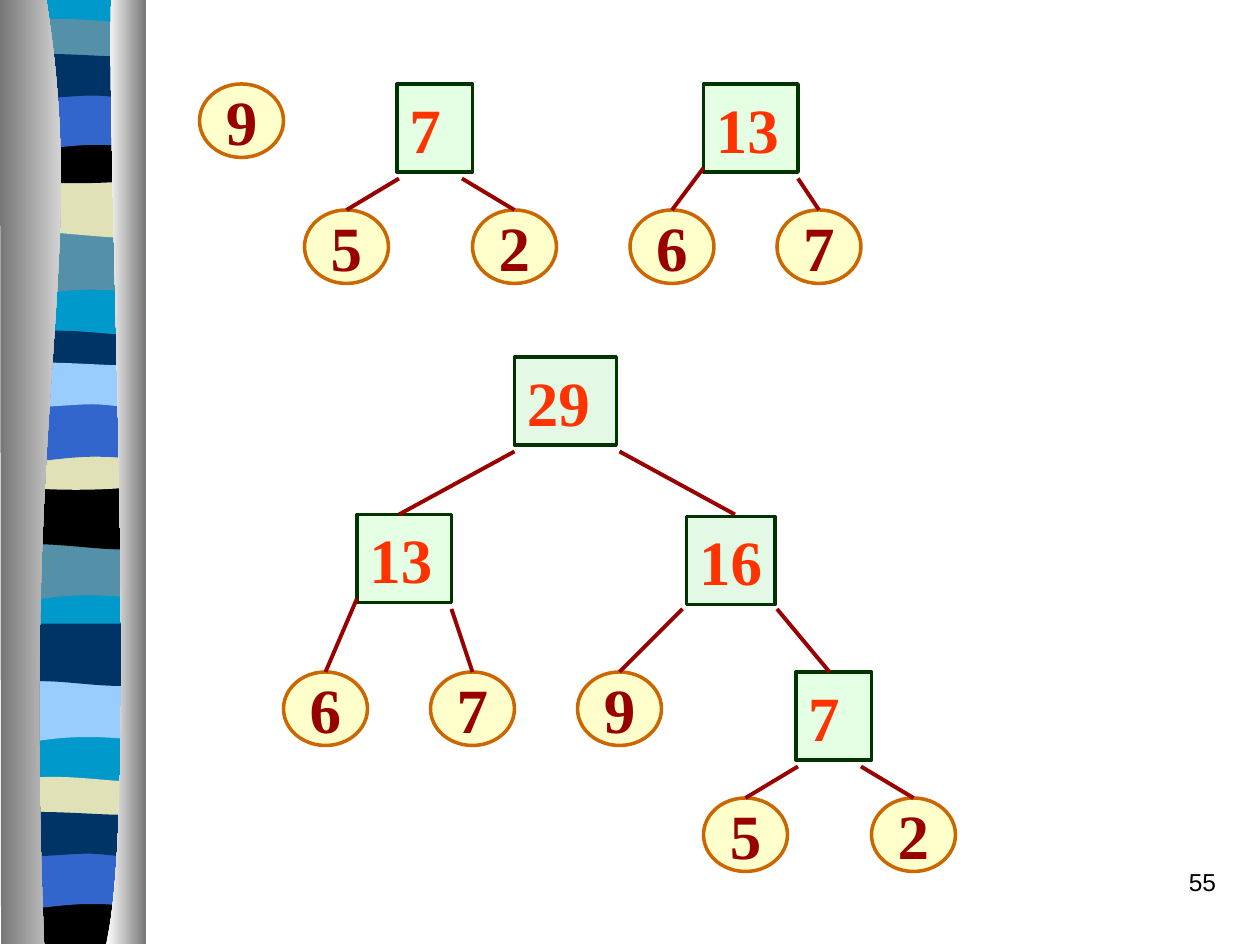
"""Build a slide of merging number trees beside a striped wavy border."""
from lxml.etree import SubElement
from pptx import Presentation
from pptx.dml.color import RGBColor as RGB
from pptx.enum.shapes import MSO_CONNECTOR as LINK, MSO_SHAPE as KIND
from pptx.enum.text import MSO_ANCHOR as ANCHOR, PP_ALIGN as ALIGN
from pptx.oxml.ns import qn
from pptx.util import Pt

PX = 7620
SKY, TEAL, SAND = RGB(0, 153, 204), RGB(84, 144, 168), RGB(225, 225, 183)
BLACK, BLUE, NAVY = RGB(0, 0, 0), RGB(51, 102, 204), RGB(0, 51, 102)
PALE, WHITE, GREY = RGB(153, 204, 255), RGB(255, 255, 255), RGB(118, 118, 118)
CREAM, AMBER, WINE = RGB(255, 255, 153), RGB(204, 102, 0), RGB(153, 0, 0)
MINT, SAGE = RGB(204, 255, 204), RGB(202, 242, 206)
PINE, RED = RGB(0, 51, 0), RGB(255, 51, 0)

deck = Presentation()
deck.slide_width, deck.slide_height = 1200 * PX, 900 * PX
slide = deck.slides.add_slide(deck.slide_layouts[6])
shapes = slide.shapes


def write(shape, text, size=36, font="Times New Roman", color=WINE, bold=True,
          align=ALIGN.CENTER, anchor=ANCHOR.MIDDLE, wrap=False):
    frame = shape.text_frame
    frame.word_wrap, frame.vertical_anchor = wrap, anchor
    para = frame.paragraphs[0]
    para.alignment = align
    run = para.add_run()
    run.text = text
    run.font.size, run.font.name, run.font.bold = Pt(size), font, bold
    run.font.color.rgb = color


def trace(steps, left=0, top=0):
    dots = [(x + left, y + top) for step in steps
            for x, y in zip(step[::2], step[1::2])]
    pen = shapes.build_freeform(*dots[0], scale=PX)
    pen.add_line_segments(dots[1:], close=True)
    shape = pen.convert_to_shape()
    outline = shape.element.find(".//" + qn("a:path"))
    lines = iter(outline.findall(qn("a:lnTo")))
    for step in steps[1:]:
        line = next(lines)
        if len(step) == 6:
            line.tag = qn("a:cubicBezTo")
            for spare in (next(lines), next(lines)):
                line.append(spare[0])
                outline.remove(spare)
    shape.shadow.inherit = False
    shape.line.fill.background()
    return shape


SAG = [(126, 0), (126, 56), (38, 46, 20, 65, 0, 56), (0, 0)]
WAVE = [(126, 0), (126, 56), (106, 66, 38, 49, 0, 56), (0, 0)]
THIN = [(126, 5), (126, 34), (106, 39, 20, 39, 0, 34), (0, 5),
        (8, 0, 28, 0, 48, 0), (70, 0, 110, 5, 126, 5)]
BULGE = [(126, 0), (126, 40), (104, 46, 20, 46, 0, 40), (0, 0),
         (77, 6, 100, 0, 126, 0)]
DIP = [(126, 0), (126, 56), (107, 50, 98, 50, 77, 50),
       (56, 50, 20, 56, 0, 56), (0, 0)]
LONG = [(126, 6), (126, 43), (118, 49, 98, 43, 77, 43),
        (56, 43, 12, 49, 0, 43), (0, 6), (18, 0, 85, 6, 107, 6),
        (128, 6, 122, 6, 126, 6)]
CAP = [(126, 0), (126, 44), (0, 44), (0, 0), (77, 6, 100, 0, 126, 0)]
BASE = [(126, 0), (126, 897), (0, 897), (0, 0)]

for form, color, left, top in [
    (BASE, SKY, 11, -1),
    (SAG, TEAL, 10, 223), (WAVE, SAND, 12, 167), (THIN, TEAL, 12, 18),
    (BULGE, BLACK, 10, 130), (DIP, BLUE, 11, 88), (LONG, NAVY, 11, 48),
    (SAG, TEAL, 7, 514), (WAVE, BLACK, 10, 464), (THIN, NAVY, 10, 315),
    (BULGE, SAND, 10, 422), (DIP, BLUE, 10, 385), (LONG, PALE, 10, 342),
    (SAG, PALE, 6, 649), (WAVE, NAVY, 8, 594), (THIN, SAND, 7, 740),
    (CAP, BLACK, 7, 855), (DIP, BLUE, 6, 811), (LONG, NAVY, 6, 770),
]:
    band = trace(form, left, top)
    band.fill.solid()
    band.fill.fore_color.rgb = color

for steps, tones in [
    ([(44, -1), (85, 259, 20, 355, 42, 899), (1, 899), (0, -1)], (GREY, WHITE)),
    ([(106, -1), (101, 150, 133, 775, 101, 899), (139, 899), (139, 0)], (WHITE, GREY)),
]:
    slab = trace(steps)
    slab.fill.gradient()
    slab.fill.gradient_angle = 0
    for stop, tone in zip(slab.fill.gradient_stops, tones):
        stop.color.rgb = tone

page = shapes.add_textbox(920 * PX, 820 * PX, 250 * PX, 60 * PX)
write(page, "55", size=14, font="Arial", color=BLACK, bold=False,
      align=ALIGN.RIGHT, anchor=ANCHOR.TOP, wrap=True)

leaves = [
    ("9", 190, 80, None), ("5", 290, 200, (380, 170)), ("2", 450, 200, (440, 170)),
    ("6", 600, 200, (670, 160)), ("7", 740, 200, (760, 170)),
    ("6", 270, 640, (340, 570)), ("7", 410, 640, (430, 580)),
    ("9", 550, 640, (650, 580)),
    ("5", 670, 760, (760, 730)), ("2", 830, 760, (820, 730)),
]
boxes = [
    ("7", 378, 80, 72, MINT), ("13", 670, 80, 90, MINT), ("29", 490, 340, 97, SAGE),
    ("13", 340, 490, 90, MINT), ("16", 654, 492, 84, SAGE), ("7", 758, 640, 72, MINT),
]
nodes = [(KIND.OVAL, text, x, y, 80, 70, CREAM, AMBER, {})
         for text, x, y, _ in leaves]
nodes += [(KIND.RECTANGLE, text, x, y, w, 84, fill, PINE,
           dict(color=RED, align=ALIGN.LEFT, anchor=ANCHOR.TOP, wrap=w != 84))
          for text, x, y, w, fill in boxes]
drawn = []
for kind, text, x, y, w, h, fill, edge, form in nodes:
    node = shapes.add_shape(kind, x * PX, y * PX, w * PX, h * PX)
    node.shadow.inherit = False
    node.fill.solid()
    node.fill.fore_color.rgb = fill
    tint = node.element.spPr.find(qn("a:solidFill")).find(qn("a:srgbClr"))
    SubElement(tint, qn("a:alpha")).set("val", "50000")
    node.line.color.rgb, node.line.width = edge, Pt(2)
    write(node, text, **form)
    drawn.append(node)

links = [(*start, x + 40, y, leaf)
         for (_, x, y, start), leaf in zip(leaves, drawn) if start]
links += [(490, 430, 380, 490, None), (590, 430, 700, 490, None),
          (740, 580, 790, 640, None)]
for ax, ay, bx, by, leaf in links:
    link = shapes.add_connector(LINK.STRAIGHT, ax * PX, ay * PX, bx * PX, by * PX)
    link.line.color.rgb, link.line.width = WINE, Pt(2.25)
    SubElement(link.element.spPr, qn("a:effectLst"))
    if leaf:
        link.end_connect(leaf, 0)

deck.save("out.pptx")
